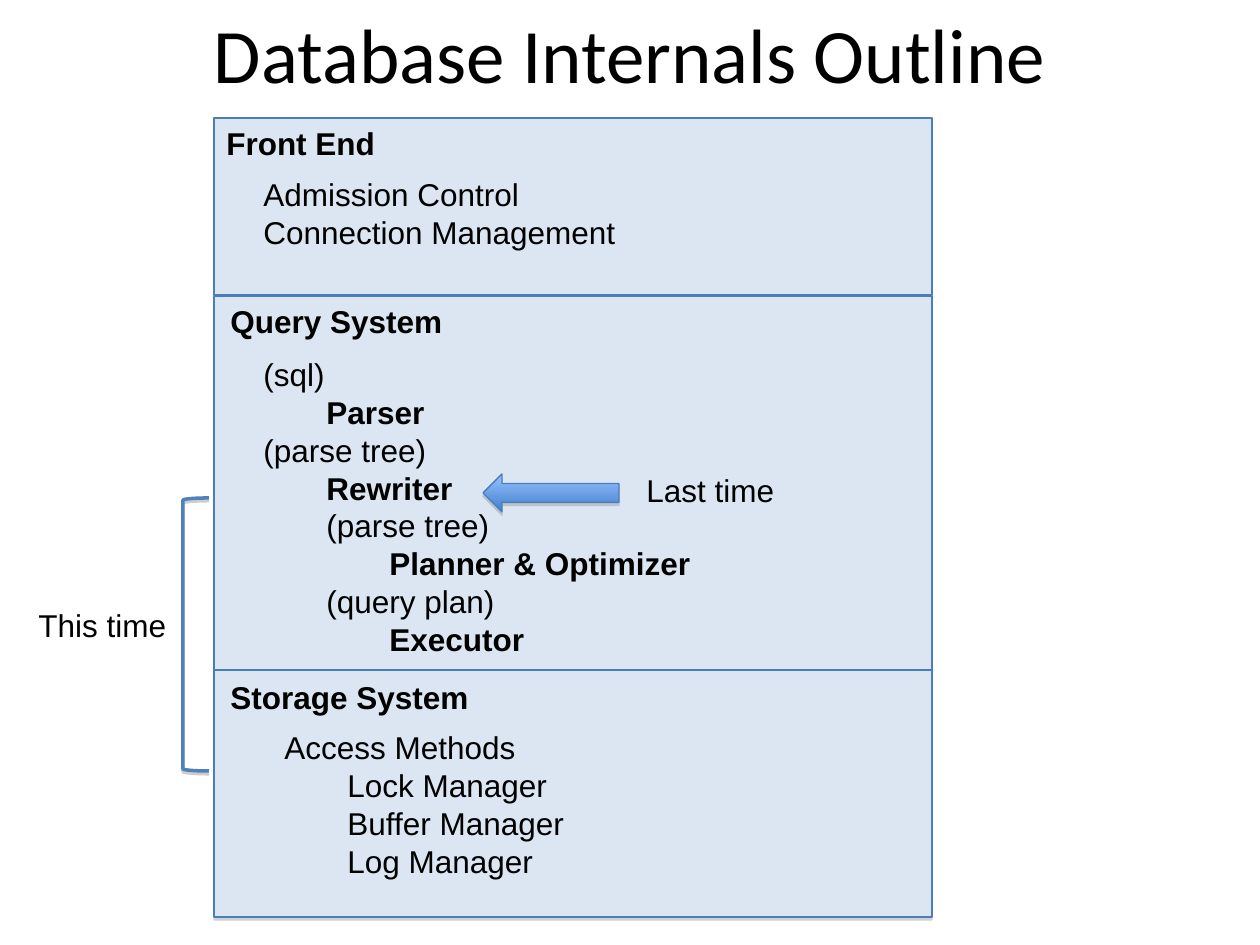
"""Build the Database Internals Outline slide."""
from lxml import etree
from pptx import Presentation
from pptx.dml.color import RGBColor
from pptx.enum.shapes import MSO_SHAPE
from pptx.enum.text import MSO_ANCHOR, PP_ALIGN
from pptx.oxml.ns import qn
from pptx.util import Emu, Pt

RECTANGLE = MSO_SHAPE.RECTANGLE
LEFT_ARROW = MSO_SHAPE.LEFT_ARROW
LEFT_BRACKET = MSO_SHAPE.LEFT_BRACKET
MIDDLE = MSO_ANCHOR.MIDDLE
CENTER = PP_ALIGN.CENTER

COLORS = {
    "text": "000000", "panel": "DCE6F2", "outline": "4A7EBB",
    "bracket": "4F81BD", "shadow": "808080",
    "arrow_top": "9BC1FF", "arrow_bottom": "3F80CD",
}
TITLE = "Database Internals Outline"
PANEL_LEFT, PANEL_WIDTH = 214, 718
PANELS = [
    {"heading": "Front End", "top": 118, "height": 177,
     "heading_at": (214, 118), "list_at": (251, 169),
     "items": [("Admission Control", 0, False), ("Connection Management", 0, False)]},
    {"heading": "Query System", "top": 296, "height": 374,
     "heading_at": (218, 296), "list_at": (251, 349),
     "items": [("(sql)", 0, False), ("Parser", 1, True),
               ("(parse tree)", 0, False), ("Rewriter", 1, True),
               ("(parse tree)", 1, False), ("Planner & Optimizer", 2, True),
               ("(query plan)", 1, False), ("Executor", 2, True)]},
    {"heading": "Storage System", "top": 670, "height": 247,
     "heading_at": (218, 672), "list_at": (272, 722),
     "items": [("Access Methods", 0, False), ("Lock Manager", 1, False),
               ("Buffer Manager", 1, False), ("Log Manager", 1, False)]},
]
LABELS = [("Last time", 634, 465), ("This time", 26, 600)]
ARROW = (483, 474, 136, 38)
BRACKET = (183, 498, 26, 273)
LIST_WIDTH, HEADING_WIDTH, LABEL_WIDTH = 630, 264, 205
INDENT, LINE_HEIGHT, BOX_PADDING = 63, 38, 12


def px(length):
    return Emu(round(length * 914400 / 126))


def color(name):
    return RGBColor.from_string(COLORS[name])


def apply(target, values):
    for name, value in values.items():
        setattr(target, name, value)


def add_text(slide, left, top, width, items):
    height = LINE_HEIGHT * len(items) + BOX_PADDING
    box = slide.shapes.add_textbox(*map(px, (left, top, width, height)))
    frame = box.text_frame
    frame.word_wrap = True
    for index, (text, level, bold) in enumerate(items):
        paragraph = frame.add_paragraph() if index else frame.paragraphs[0]
        properties = paragraph._p.get_or_add_pPr()
        properties.set("marL", str(px(INDENT * level)))
        properties.set("indent", "0")
        paragraph.line_spacing = Pt(21.6)
        run = paragraph.add_run()
        run.text = text
        apply(run.font, {"name": "Arial", "size": Pt(18), "bold": bold})
        run.font.color.rgb = color("text")


def add_shadow(shape, distance, opacity):
    shape.shadow.inherit = False
    effects = shape._element.spPr.find(qn("a:effectLst"))
    shadow = etree.SubElement(effects, qn("a:outerShdw"), blurRad="0",
                              dist=str(Pt(distance)), dir="5400000", rotWithShape="0")
    tint = etree.SubElement(shadow, qn("a:srgbClr"), val=COLORS["shadow"])
    etree.SubElement(tint, qn("a:alpha"), val=str(opacity * 1000))


def add_outlined(slide, kind, bounds, line="outline", width=0.75, distance=1.8, opacity=35):
    shape = slide.shapes.add_shape(kind, *map(px, bounds))
    shape.line.color.rgb = color(line)
    shape.line.width = Pt(width)
    add_shadow(shape, distance, opacity)
    return shape


def add_title(slide):
    title = slide.shapes.title
    apply(title, {"left": px(63), "top": px(-26), "width": px(1134), "height": px(157)})
    title.text_frame.text = TITLE
    title.text_frame.vertical_anchor = MIDDLE
    paragraph = title.text_frame.paragraphs[0]
    paragraph.alignment = CENTER
    apply(paragraph.runs[0].font, {"name": "Calibri", "size": Pt(44)})
    paragraph.runs[0].font.color.rgb = color("text")


def add_panel(slide, panel):
    bounds = (PANEL_LEFT, panel["top"], PANEL_WIDTH, panel["height"])
    rectangle = add_outlined(slide, RECTANGLE, bounds)
    rectangle.fill.solid()
    rectangle.fill.fore_color.rgb = color("panel")
    add_text(slide, *panel["heading_at"], HEADING_WIDTH, [(panel["heading"], 0, True)])
    add_text(slide, *panel["list_at"], LIST_WIDTH, panel["items"])


def main():
    presentation = Presentation()
    presentation.slide_width, presentation.slide_height = px(1260), px(945)
    slide = presentation.slides.add_slide(presentation.slide_layouts[5])
    add_title(slide)
    for panel in PANELS:
        add_panel(slide, panel)
    arrow = add_outlined(slide, LEFT_ARROW, ARROW)
    arrow.fill.gradient()
    arrow.fill.gradient_angle = 270
    for stop, name in zip(arrow.fill.gradient_stops, ("arrow_top", "arrow_bottom")):
        stop.color.rgb = color(name)
    bracket = add_outlined(slide, LEFT_BRACKET, BRACKET, "bracket", 2, 1.6, 38)
    bracket.fill.background()
    for text, left, top in LABELS:
        add_text(slide, left, top, LABEL_WIDTH, [(text, 0, False)])
    presentation.save("out.pptx")


if __name__ == "__main__":
    main()
